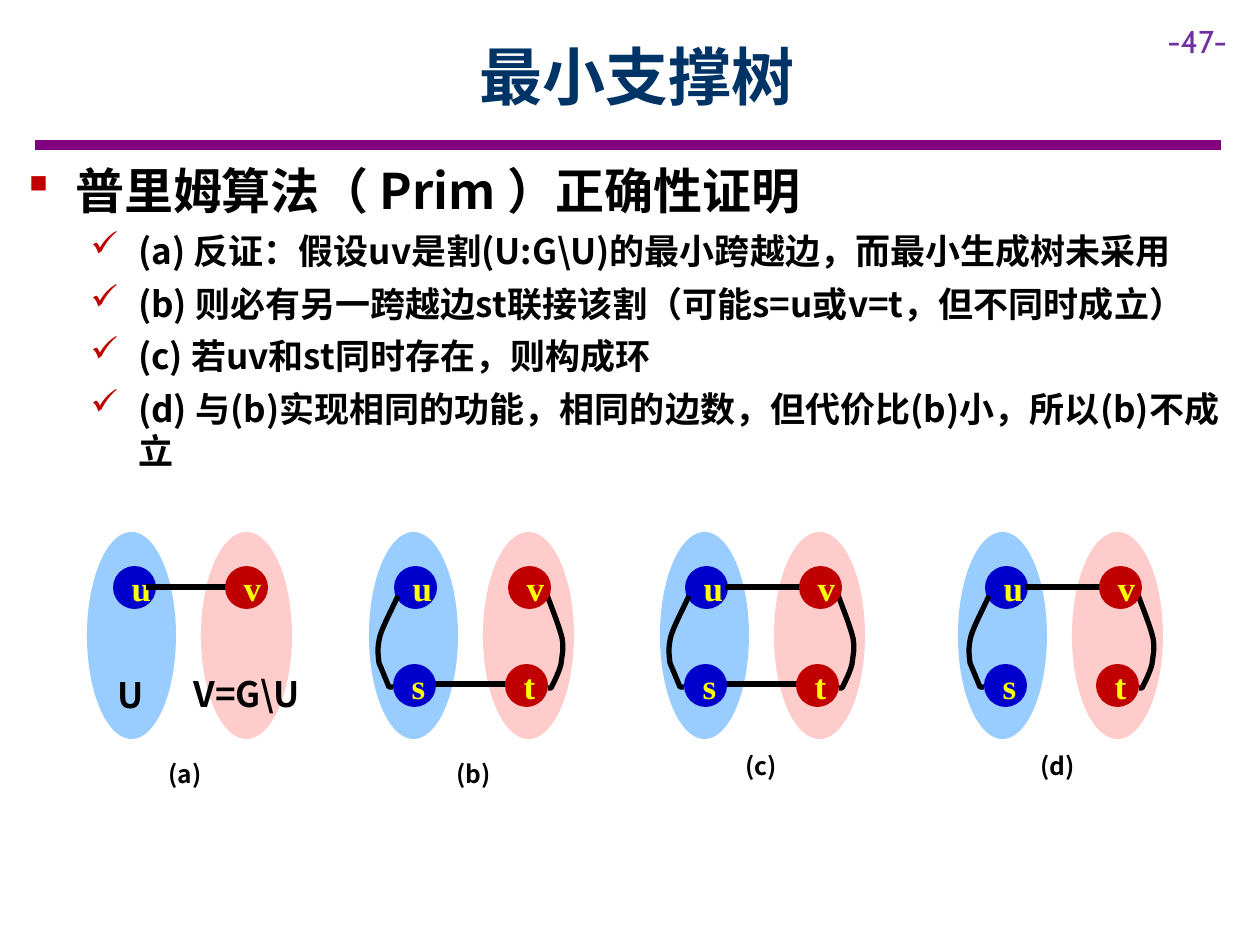
from dataclasses import dataclass

from lxml.etree import SubElement
from pptx import Presentation
from pptx.dml.color import RGBColor
from pptx.enum.shapes import MSO_CONNECTOR, MSO_SHAPE
from pptx.enum.text import MSO_ANCHOR, MSO_AUTO_SIZE, PP_ALIGN
from pptx.oxml.ns import qn
from pptx.util import Emu, Inches, Pt

EMU_PER_PX = 914400 / 126
SANS = "Noto Sans CJK SC"
COLORS = {
    "black": "000000", "title": "003366", "rule": "800080", "number": "7030A0",
    "left_set": "99CCFF", "right_set": "FFCCCC", "left_node": "0000CC",
    "right_node": "C00000", "letter": "FFFF00", "bullet": "C00000",
}
SET_TOP, SET_HEIGHT, SET_GAP = 532, 207, 114
NODE_SIZE, UPPER_TOP, LOWER_TOP = 43, 566, 664
UPPER_EDGE_Y, LOWER_EDGE_Y, EDGE_LENGTH = 587, 684, 91
LEFT_CURVE = [(4, 596), (-3, 611), (-11, 626), (-14, 636), (-17, 648), (-16, 654),
              (-15, 663), (-12, 670), (-5, 687), (-5, 687)]
RIGHT_CURVE = [(153, 595), (159, 611), (165, 626), (168, 638), (170, 649), (168, 655),
               (167, 664), (165, 673), (157, 688), (157, 688)]
LEFT_TAIL, RIGHT_TAIL = (-1, 687), (154, 688)


@dataclass(frozen=True)
class Label:
    text: str
    left: int
    top: int
    width: int
    height: int
    size: int = 20
    color: str = "black"
    bold: bool = True
    font: str = SANS
    align: PP_ALIGN = PP_ALIGN.LEFT
    anchor: MSO_ANCHOR = MSO_ANCHOR.TOP
    wrap: bool = False
    grow: bool = True


@dataclass(frozen=True)
class Panel:
    set_left: int
    graph_left: int
    v_offset: int
    upper_edge: int | None
    lower_edge: int | None
    curved: bool
    caption: Label


@dataclass(frozen=True)
class Item:
    text: str
    size: int
    margin: float
    bullet: str


PANELS = [
    Panel(87, 113, 112, 33, None, False, Label("(a)", 156, 753, 59, 43, 14)),
    Panel(369, 394, 114, None, 34, True, Label("(b)", 444, 753, 62, 43, 14)),
    Panel(660, 685, 114, 40, 34, True, Label("(c)", 733, 745, 58, 43, 14)),
    Panel(958, 985, 114, 40, None, True, Label("(d)", 1028, 745, 62, 43, 14)),
]
LABELS = [
    Label("-47-", 1155, 16, 105, 50, 18, "number", False, "Cabin", wrap=True),
    Label("最小支撑树", 114, 12, 1047, 126, 36, "title", align=PP_ALIGN.CENTER,
          anchor=MSO_ANCHOR.MIDDLE, wrap=True, grow=False),
    Label("U", 105, 667, 53, 55),
    Label("V=G\\U", 181, 666, 149, 55),
]
ITEMS = [Item("普里姆算法（ Prim ）正确性证明", 28, 0.38, "§")] + [
    Item(text, 20, 0.88, "ü")
    for text in (
        "(a) 反证：假设uv是割(U:G\\U)的最小跨越边，而最小生成树未采用",
        "(b) 则必有另一跨越边st联接该割（可能s=u或v=t，但不同时成立）",
        "(c) 若uv和st同时存在，则构成环",
        "(d) 与(b)实现相同的功能，相同的边数，但代价比(b)小，所以(b)不成立",
    )
]


def px(value: float) -> Emu:
    """Turn px into EMU."""
    return Emu(round(value * EMU_PER_PX))


def color(name: str) -> RGBColor:
    """Look up a named colour."""
    return RGBColor.from_string(COLORS[name])


def apply(target, **values) -> None:
    """Set each given attribute on the target."""
    for name, value in values.items():
        setattr(target, name, value)


def write(paragraph, text: str, size: int, ink: str, bold: bool, font: str) -> None:
    """Add one formatted run for Latin and East Asian text."""
    run = paragraph.add_run()
    run.text = text
    apply(run.font, size=Pt(size), bold=bold, name=font)
    run.font.color.rgb = color(ink)
    SubElement(run.font._element, qn("a:ea"), typeface=font)


def draw_label(slide, label: Label) -> None:
    """Draw a text box holding one line."""
    shape = slide.shapes.add_textbox(*map(px, (label.left, label.top, label.width, label.height)))
    auto_size = MSO_AUTO_SIZE.SHAPE_TO_FIT_TEXT if label.grow else MSO_AUTO_SIZE.NONE
    apply(shape.text_frame, word_wrap=label.wrap, auto_size=auto_size,
          vertical_anchor=label.anchor)
    paragraph = shape.text_frame.paragraphs[0]
    paragraph.alignment = label.align
    write(paragraph, label.text, label.size, label.color, label.bold, label.font)


def draw_items(slide, items: list[Item]) -> None:
    """Draw the bulleted proof."""
    shape = slide.shapes.add_textbox(*map(px, (15, 154, 1221, 326)))
    frame = shape.text_frame
    apply(frame, word_wrap=True, auto_size=MSO_AUTO_SIZE.SHAPE_TO_FIT_TEXT)
    for index, item in enumerate(items):
        paragraph = frame.add_paragraph() if index else frame.paragraphs[0]
        apply(paragraph, level=min(index, 1), space_after=Pt(6))
        properties = paragraph._p.get_or_add_pPr()
        properties.set("marL", str(Inches(item.margin)))
        properties.set("indent", str(-Inches(0.38)))
        bullet_color = SubElement(properties, qn("a:buClr"))
        SubElement(bullet_color, qn("a:srgbClr"), val=COLORS["bullet"])
        SubElement(properties, qn("a:buFont"), typeface="Wingdings", charset="2")
        SubElement(properties, qn("a:buChar"), char=item.bullet)
        write(paragraph, item.text, item.size, "black", True, SANS)


def draw_line(slide, left: int, y: int, length: int, ink: str = "black", weight: int = 3) -> None:
    """Draw a horizontal line."""
    line = slide.shapes.add_connector(
        MSO_CONNECTOR.STRAIGHT, px(left), px(y), px(left + length), px(y))
    line.line.color.rgb = color(ink)
    line.line.width = Pt(weight)
    SubElement(line._element.spPr, qn("a:effectLst"))


def draw_ellipse(slide, left: int, top: int, width: int, height: int, fill: str):
    """Draw a plain filled ellipse."""
    shape = slide.shapes.add_shape(MSO_SHAPE.OVAL, *map(px, (left, top, width, height)))
    shape.shadow.inherit = False
    shape.fill.solid()
    shape.fill.fore_color.rgb = color(fill)
    shape.line.fill.background()
    return shape


def draw_node(slide, letter: str, left: int, top: int, fill: str) -> None:
    """Draw a lettered graph node."""
    frame = draw_ellipse(slide, left, top, NODE_SIZE, NODE_SIZE, fill).text_frame
    margins = dict.fromkeys(
        ("margin_left", "margin_right", "margin_top", "margin_bottom"), Inches(0.1))
    apply(frame, vertical_anchor=MSO_ANCHOR.MIDDLE, word_wrap=True, **margins)
    paragraph = frame.paragraphs[0]
    paragraph.alignment = PP_ALIGN.CENTER
    write(paragraph, letter, 20, "letter", True, "Times New Roman")


def draw_curve(slide, origin: int, controls: list[tuple], tail: tuple) -> None:
    """Draw an open outline of joined cubic curves and a short straight tail."""
    first, *rest = [(px(origin + x), px(y)) for x, y in [*controls, controls[-1], tail]]
    builder = slide.shapes.build_freeform(*first)
    builder.add_line_segments(rest, close=False)
    shape = builder.convert_to_shape()
    segments = list(shape._element.iter(qn("a:lnTo")))[:len(controls) - 1]
    for start in range(0, len(segments), 3):
        cubic = segments[start].makeelement(qn("a:cubicBezTo"))
        segments[start].addprevious(cubic)
        for segment in segments[start:start + 3]:
            cubic.append(segment[0])
            segment.getparent().remove(segment)
    shape.shadow.inherit = False
    shape.fill.background()
    shape.line.color.rgb = color("black")
    shape.line.width = Pt(3)


def draw_panel(slide, panel: Panel) -> None:
    """Draw one cut with its nodes, edges and caption."""
    graph = panel.graph_left
    draw_ellipse(slide, panel.set_left, SET_TOP, 89, SET_HEIGHT, "left_set")
    draw_ellipse(slide, panel.set_left + SET_GAP, SET_TOP, 91, SET_HEIGHT, "right_set")
    draw_node(slide, "u", graph, UPPER_TOP, "left_node")
    if panel.lower_edge is not None:
        draw_line(slide, graph + panel.lower_edge, LOWER_EDGE_Y, EDGE_LENGTH)
    if panel.curved:
        draw_node(slide, "s", graph - 1, LOWER_TOP, "left_node")
        draw_node(slide, "t", graph + 111, LOWER_TOP, "right_node")
        draw_curve(slide, graph, LEFT_CURVE, LEFT_TAIL)
        draw_curve(slide, graph, RIGHT_CURVE, RIGHT_TAIL)
    if panel.upper_edge is not None:
        draw_line(slide, graph + panel.upper_edge, UPPER_EDGE_Y, EDGE_LENGTH)
    draw_node(slide, "v", graph + panel.v_offset, UPPER_TOP, "right_node")
    draw_label(slide, panel.caption)


def main() -> None:
    """Build and save the slide."""
    presentation = Presentation()
    apply(presentation, slide_width=px(1260), slide_height=px(945))
    slide = presentation.slides.add_slide(presentation.slide_layouts[6])
    draw_line(slide, 35, 145, 1186, "rule", 6)
    draw_items(slide, ITEMS)
    for panel in PANELS:
        draw_panel(slide, panel)
    for label in LABELS:
        draw_label(slide, label)
    presentation.save("out.pptx")


if __name__ == "__main__":
    main()
